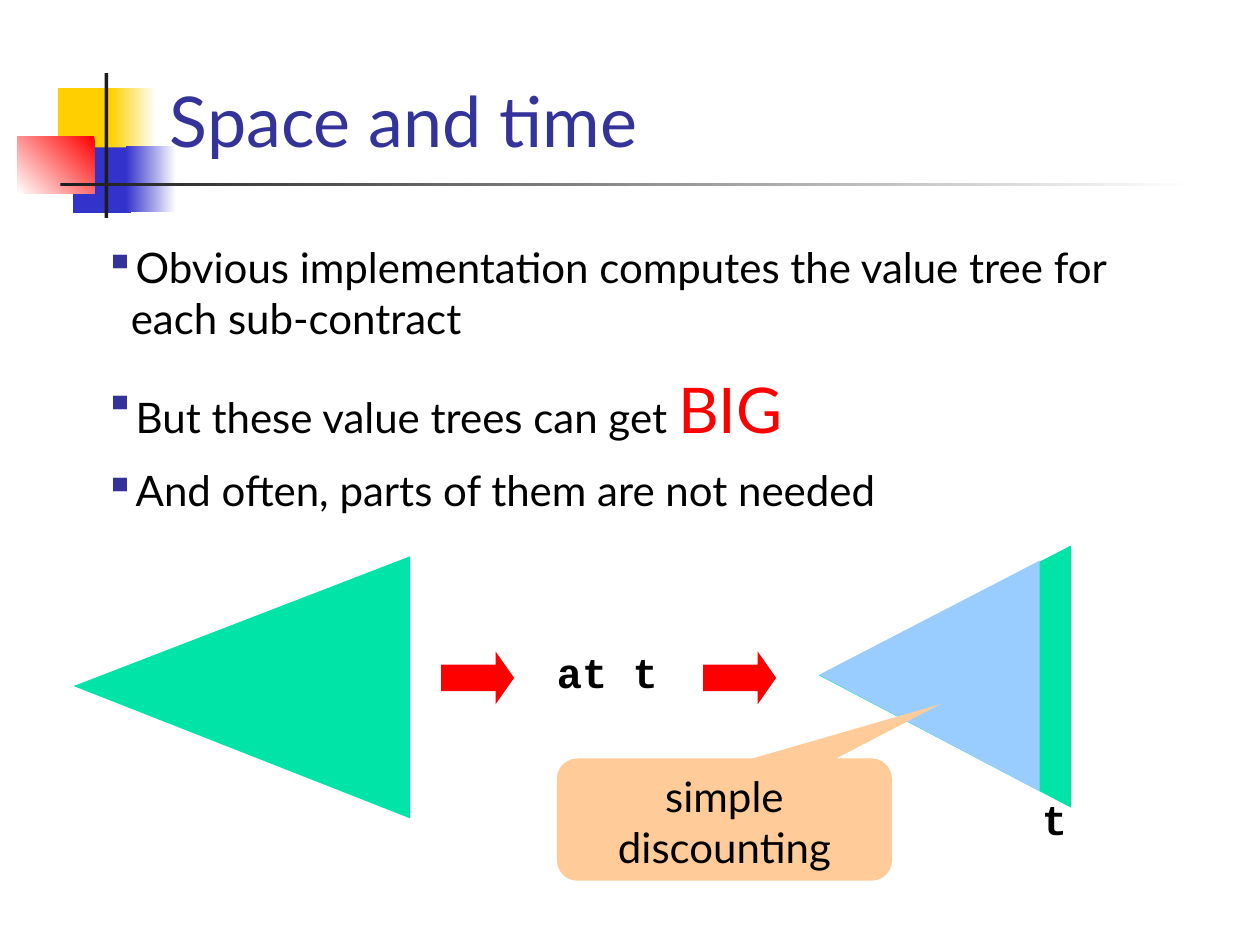
from lxml import etree
from pptx import Presentation
from pptx import util as u
from pptx.dml.color import RGBColor
from pptx.enum import shapes, text
from pptx.oxml.ns import qn

PX = 9144
WHITE = RGBColor(0xFF, 0xFF, 0xFF)
BLACK = RGBColor(0, 0, 0)
INK = RGBColor(0x1C, 0x1C, 0x1C)
GOLD = RGBColor(0xFF, 0xCF, 0x01)
BLUE = RGBColor(0x33, 0x33, 0xCC)
NAVY = RGBColor(0x33, 0x33, 0x99)
RED = RGBColor(0xFF, 0, 0)
GREEN = RGBColor(0, 0xE4, 0xA8)
SKY = RGBColor(0x99, 0xCC, 0xFF)
PEACH = RGBColor(0xFF, 0xCC, 0x99)
SANS, MONO = "Lato", "Courier New"
KIND = shapes.MSO_SHAPE


def scale(box):
    """Turn a box in px into EMU."""
    return [u.Emu(n * PX) for n in box]


def shift(box, x, y, w, h):
    """Place a part relative to the corner of a box."""
    return box[0] + x, box[1] + y, w, h


def draw(slide, kind, box, hue, adj=()):
    """Add a plain filled shape without line or shadow."""
    shape = slide.shapes.add_shape(kind, *scale(box))
    shape.shadow.inherit = False
    shape.line.fill.background()
    shape.fill.solid()
    shape.fill.fore_color.rgb = hue
    for i, val in enumerate(adj):
        shape.adjustments[i] = val
    return shape


def fade(slide, box, hue, angle=0):
    """Add a rectangle that fades from a colour to white."""
    fill = draw(slide, KIND.RECTANGLE, box, hue).fill
    fill.gradient()
    fill.gradient_angle = angle
    for stop, tone in zip(fill.gradient_stops, (hue, WHITE)):
        stop.color.rgb = tone


def write(para, words, size, hue=BLACK, face=SANS, bold=False):
    """Add one run to a paragraph."""
    run = para.add_run()
    run.text = words
    run.font.size = u.Pt(size)
    run.font.name = face
    run.font.bold = bold
    run.font.color.rgb = hue


def frame(slide, box, anchor, wrap=True):
    """Add an empty text box and return its text frame."""
    body = slide.shapes.add_textbox(*scale(box)).text_frame
    body.word_wrap = wrap
    body.vertical_anchor = anchor
    return body


def label(slide, box, words):
    """Add a centred code label."""
    para = frame(slide, box, text.MSO_ANCHOR.MIDDLE, False).paragraphs[0]
    para.alignment = text.PP_ALIGN.CENTER
    write(para, words, 24, face=MONO, bold=True)


def cone(slide, box, hue):
    """Add a triangle that points left and fills the box."""
    x, y, w, h = box
    turned = x + (w - h) / 2, y + (h - w) / 2, h, w
    shape = draw(slide, KIND.ISOSCELES_TRIANGLE, [round(n) for n in turned], hue, [0.505])
    shape.rotation = 270


def motif(slide, box):
    """Draw the coloured squares and rules beside the title."""
    draw(slide, KIND.RECTANGLE, shift(box, 32, 12, 48, 52), GOLD)
    fade(slide, shift(box, 74, 12, 36, 52), GOLD)
    draw(slide, KIND.RECTANGLE, shift(box, 44, 59, 46, 52), BLUE)
    fade(slide, shift(box, 86, 58, 40, 52), BLUE)
    fade(slide, shift(box, 0, 50, 61, 46), RED, 225)
    draw(slide, KIND.RECTANGLE, shift(box, 69, 0, 3, 115), INK)
    fade(slide, shift(box, 34, 87, 900, 3), INK)


def title(slide, box):
    """Write the slide title."""
    body = frame(slide, box, text.MSO_ANCHOR.BOTTOM)
    write(body.paragraphs[0], "Space and time", 40, NAVY)


def mark(para):
    """Give a paragraph a hanging square bullet."""
    props = para._p.get_or_add_pPr()
    props.set("marL", str(21 * PX))
    props.set("indent", str(-21 * PX))
    tint = etree.SubElement(props, qn("a:buClr"))
    etree.SubElement(tint, qn("a:srgbClr")).set("val", str(NAVY))
    etree.SubElement(props, qn("a:buChar")).set("char", "▪")


def points(slide, box):
    """Write the bullet list."""
    body = frame(slide, box, text.MSO_ANCHOR.TOP)
    rows = [
        (0, [("Obvious implementation computes the value tree for each sub-contract", 24, BLACK)]),
        (15.8, [("But these value trees can get ", 24, BLACK), ("BIG", 36, RED)]),
        (10.5, [("And often, parts of them are not needed", 24, BLACK)]),
    ]
    for i, (gap, runs) in enumerate(rows):
        para = body.add_paragraph() if i else body.paragraphs[0]
        mark(para)
        para.space_before = u.Pt(gap)
        for run in runs:
            write(para, *run)


def scene(slide, box):
    """Draw the value tree before and after the cut at t."""
    cone(slide, shift(box, 0, 9, 267, 208), GREEN)
    label(slide, shift(box, 374, 75, 100, 50), "at t")
    cone(slide, shift(box, 592, 0, 200, 208), GREEN)
    cone(slide, shift(box, 592, 12, 175, 183), SKY)
    for x in (292, 500):
        draw(slide, KIND.RIGHT_ARROW, shift(box, x, 84, 58, 42), RED, [0.5, 0.35])
    label(slide, shift(box, 759, 192, 40, 50), "t")
    note = draw(slide, KIND.ROUNDED_RECTANGULAR_CALLOUT,
                shift(box, 384, 169, 266, 97), PEACH, [0.645, -0.945, 0.167])
    body = note.text_frame
    body.word_wrap = True
    body.vertical_anchor = text.MSO_ANCHOR.TOP
    para = body.paragraphs[0]
    para.alignment = text.PP_ALIGN.CENTER
    write(para, "simple discounting", 24)


def main():
    """Build and save the slide."""
    deck = Presentation()
    deck.slide_width, deck.slide_height = scale((1000, 750))
    slide = deck.slides.add_slide(deck.slide_layouts[6])
    motif(slide, (14, 58))
    title(slide, (125, 8, 852, 125))
    points(slide, (73, 187, 868, 227))
    scene(slide, (58, 433))
    deck.save("out.pptx")


if __name__ == "__main__":
    main()
